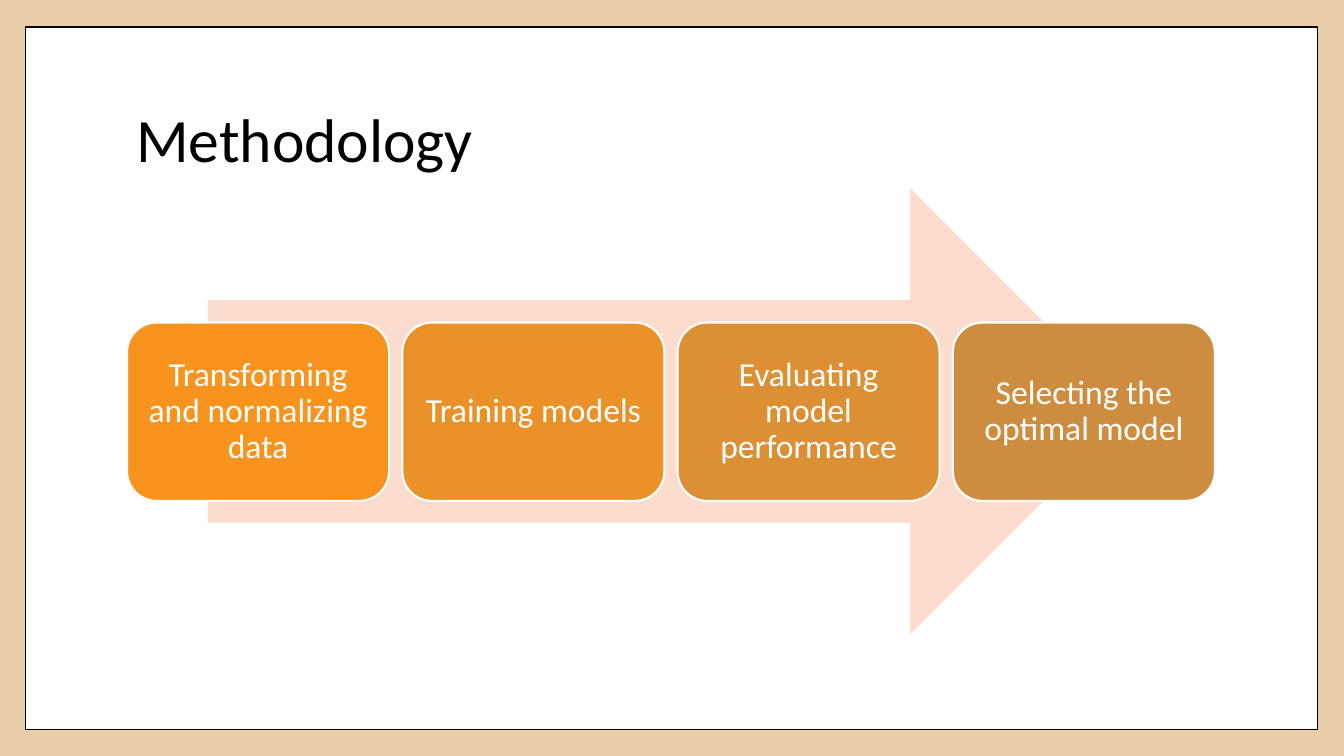
"""Build the Methodology slide: four steps along a broad arrow."""
from dataclasses import dataclass

import pptx
import pptx.dml.color
import pptx.enum.shapes
import pptx.enum.text
import pptx.shapes.autoshape
import pptx.slide
import pptx.text.text
import pptx.util

Inches = pptx.util.Inches
Pt = pptx.util.Pt
RGBColor = pptx.dml.color.RGBColor
Shape = pptx.enum.shapes.MSO_SHAPE
Align = pptx.enum.text.PP_ALIGN

FONT = "Calibri"
BLACK = RGBColor(0x00, 0x00, 0x00)
WHITE = RGBColor(0xFF, 0xFF, 0xFF)
SAND = RGBColor(0xE9, 0xCC, 0xA8)
PEACH = RGBColor(0xFC, 0xDC, 0xCD)
ORANGE = RGBColor(0xF8, 0x93, 0x1D)
AMBER = RGBColor(0xEA, 0x91, 0x28)
OCHRE = RGBColor(0xDC, 0x8F, 0x33)
BRONZE = RGBColor(0xCE, 0x8D, 0x3E)

STEP_LEFT = 1.26
STEP_PITCH = 2.73


@dataclass(frozen=True)
class Area:
    left: float
    top: float
    width: float
    height: float

    def lengths(self) -> list[pptx.util.Length]:
        return [Inches(value) for value in (self.left, self.top, self.width, self.height)]


@dataclass(frozen=True)
class Step:
    label: str
    color: RGBColor


STEPS = (
    Step("Transforming and normalizing data", ORANGE),
    Step("Training models", AMBER),
    Step("Evaluating model performance", OCHRE),
    Step("Selecting the optimal model", BRONZE),
)


def add_block(page: pptx.slide.Slide, kind: Shape, area: Area, fill: RGBColor,
              line: RGBColor | None = None,
              line_width: float = 1) -> pptx.shapes.autoshape.Shape:
    block = page.shapes.add_shape(kind, *area.lengths())
    block.shadow.inherit = False
    block.fill.solid()
    block.fill.fore_color.rgb = fill
    if line is None:
        block.line.fill.background()
    else:
        block.line.color.rgb = line
        block.line.width = Pt(line_width)
    return block


def write(frame: pptx.text.text.TextFrame, text: str, size: float,
          color: RGBColor, align: Align) -> None:
    frame.text = text
    frame.word_wrap = True
    frame.auto_size = pptx.enum.text.MSO_AUTO_SIZE.NONE
    frame.vertical_anchor = pptx.enum.text.MSO_ANCHOR.MIDDLE
    para = frame.paragraphs[0]
    para.alignment = align
    para.line_spacing = 0.9
    para.font.name = FONT
    para.font.size = Pt(size)
    para.font.color.rgb = color


def add_step(page: pptx.slide.Slide, index: int, step: Step) -> None:
    area = Area(STEP_LEFT + index * STEP_PITCH, 3.2, 2.6, 1.77)
    box = add_block(page, Shape.ROUNDED_RECTANGLE, area, step.color, WHITE, 1.5)
    frame = box.text_frame
    frame.margin_left = frame.margin_right = Inches(0.1)
    frame.margin_top = frame.margin_bottom = Inches(0.1)
    write(frame, step.label, 24, WHITE, Align.CENTER)


def main() -> None:
    deck = pptx.Presentation()
    deck.slide_width = Inches(13.33)
    deck.slide_height = Inches(7.5)
    page = deck.slides.add_slide(deck.slide_layouts.get_by_name("Title Only"))
    page.background.fill.solid()
    page.background.fill.fore_color.rgb = SAND

    title = page.shapes.title
    title.left, title.top, title.width, title.height = Area(1.25, 0.67, 10.8, 1.48).lengths()
    write(title.text_frame, "Methodology", 44, BLACK, Align.LEFT)

    panel = add_block(page, Shape.RECTANGLE, Area(0.25, 0.27, 12.82, 6.97), WHITE, BLACK)
    title.element.addprevious(panel.element)

    add_block(page, Shape.RIGHT_ARROW, Area(2.06, 1.87, 9.18, 4.42), PEACH)
    for index, step in enumerate(STEPS):
        add_step(page, index, step)
    deck.save("out.pptx")


if __name__ == "__main__":
    main()
